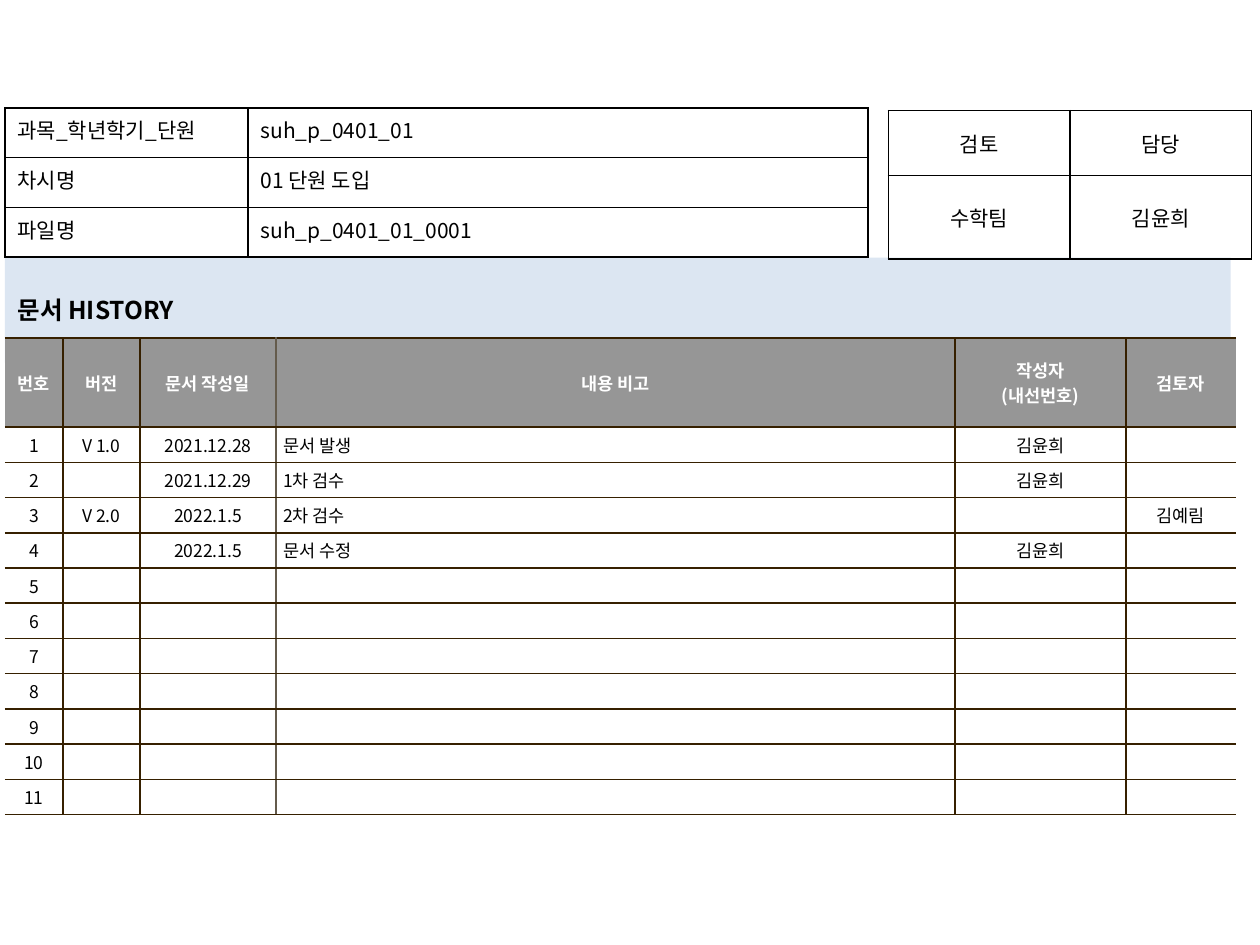
from lxml import etree
from pptx import Presentation
from pptx import util as u
from pptx.dml.color import RGBColor
from pptx.enum import text
from pptx.oxml import ns

FONT = "Noto Sans CJK KR"
BLACK = RGBColor(0x00, 0x00, 0x00)
WHITE = RGBColor(0xFF, 0xFF, 0xFF)
GRAY = RGBColor(0x96, 0x96, 0x96)
BLUE = RGBColor(0xDC, 0xE6, 0xF2)
BROWN = RGBColor(0x36, 0x20, 0x00)
TAUPE = RGBColor(0x64, 0x5B, 0x4C)
LEFT, MID, JUST = text.PP_ALIGN.LEFT, text.PP_ALIGN.CENTER, text.PP_ALIGN.JUSTIFY

INFO = [
    ("과목_학년학기_단원", "suh_p_0401_01"),
    ("차시명", "01 단원 도입"),
    ("파일명", "suh_p_0401_01_0001"),
]
STAFF = [("검토", "담당"), ("수학팀", "김윤희")]
HEADS = ("번호", "버전", "문서 작성일", "내용 비고", "작성자\n(내선번호)", "검토자")
LOGS = [
    ("V 1.0", "2021.12.28", "문서 발생", "김윤희", ""),
    ("", "2021.12.29", "1차 검수", "김윤희", ""),
    ("V 2.0", "2022.1.5", "2차 검수", "", "김예림"),
    ("", "2022.1.5", "문서 수정", "김윤희", ""),
]
LAST = 11


def style(frame, size, color, align, bold=False):
    for para in frame.paragraphs:
        para.alignment = align
        for run in para.runs:
            font = run.font
            font.size, font.bold, font.name = u.Pt(size), bold, FONT
            font.color.rgb = color
            east = etree.SubElement(font._element, ns.qn("a:ea"))
            east.set("typeface", FONT)
        if not para.runs:
            end = para._p.get_or_add_endParaRPr()
            end.set("sz", str(size * 100))


def border(cell, left, right, top, base):
    props = cell._tc.get_or_add_tcPr()
    sides = zip(("lnL", "lnR", "lnT", "lnB"), (left, right, top, base))
    for spot, (tag, color) in enumerate(sides):
        line = etree.Element(ns.qn("a:" + tag), w=str(u.Pt(1)))
        if color is None:
            etree.SubElement(line, ns.qn("a:noFill"))
        else:
            fill = etree.SubElement(line, ns.qn("a:solidFill"))
            etree.SubElement(fill, ns.qn("a:srgbClr"), val=str(color))
        props.insert(spot, line)


def grid(slide, left, top, cols, rows, data):
    frame = slide.shapes.add_table(
        len(rows), len(cols), u.Cm(left), u.Cm(top), u.Cm(sum(cols)), u.Cm(sum(rows)))
    table = frame.table
    table.first_row = table.horz_banding = False
    for col, width in zip(table.columns, cols):
        col.width = u.Cm(width)
    for row, height, words in zip(table.rows, rows, data):
        row.height = u.Cm(height)
        for cell, word in zip(row.cells, words):
            cell.text_frame.text = word
            cell.fill.background()
    return table


def boxes(table, aligns, anchor):
    for row in table.rows:
        for cell, align in zip(row.cells, aligns):
            cell.vertical_anchor = anchor
            style(cell.text_frame, 12, BLACK, align)
            border(cell, BLACK, BLACK, BLACK, BLACK)


def history(slide):
    blank = [("",) * 5] * (LAST - len(LOGS))
    data = [HEADS] + [(str(n), *log) for n, log in enumerate(LOGS + blank, 1)]
    cols = (1.17, 1.55, 2.74, 13.69, 3.45, 2.21)
    table = grid(slide, 0.1, 6.81, cols, [1.8] + [0.71] * LAST, data)
    edges = [None, BROWN, BROWN, TAUPE, BROWN, BROWN, None]
    for r, row in enumerate(table.rows):
        head = r == 0
        for c, cell in enumerate(row.cells):
            note = c == 3 and not head
            cell.vertical_anchor = text.MSO_ANCHOR.MIDDLE
            cell.margin_left = cell.margin_right = u.Cm(0.15)
            cell.margin_top = cell.margin_bottom = u.Cm(0.1)
            cell.fill.solid()
            cell.fill.fore_color.rgb = GRAY if head else WHITE
            style(cell.text_frame, 10, WHITE if head else BLACK,
                  LEFT if note else MID, head)
            border(cell, edges[c], edges[c + 1], BROWN, BROWN)


def banner(slide):
    title = slide.shapes.title
    title.left, title.top = u.Cm(0.1), u.Cm(5.82)
    title.width, title.height = u.Cm(24.71), u.Cm(0.86)
    title.fill.solid()
    title.fill.fore_color.rgb = BLUE
    frame = title.text_frame
    frame.text = "문서 HISTORY"
    frame.word_wrap = True
    frame.auto_size = text.MSO_AUTO_SIZE.SHAPE_TO_FIT_TEXT
    frame.vertical_anchor = text.MSO_ANCHOR.MIDDLE
    style(frame, 14, BLACK, LEFT, True)


def main():
    deck = Presentation()
    deck.slide_width, deck.slide_height = u.Cm(25.4), u.Cm(19.05)
    slide = deck.slides.add_slide(deck.slide_layouts[5])
    banner(slide)
    history(slide)
    staff = grid(slide, 17.91, 2.23, (3.66, 3.66), (1.31, 1.68), STAFF)
    boxes(staff, (MID, MID), text.MSO_ANCHOR.MIDDLE)
    info = grid(slide, 0.1, 2.18, (4.9, 12.5), (1, 1, 1), INFO)
    boxes(info, (JUST, LEFT), text.MSO_ANCHOR.TOP)
    deck.save("out.pptx")


if __name__ == "__main__":
    main()
